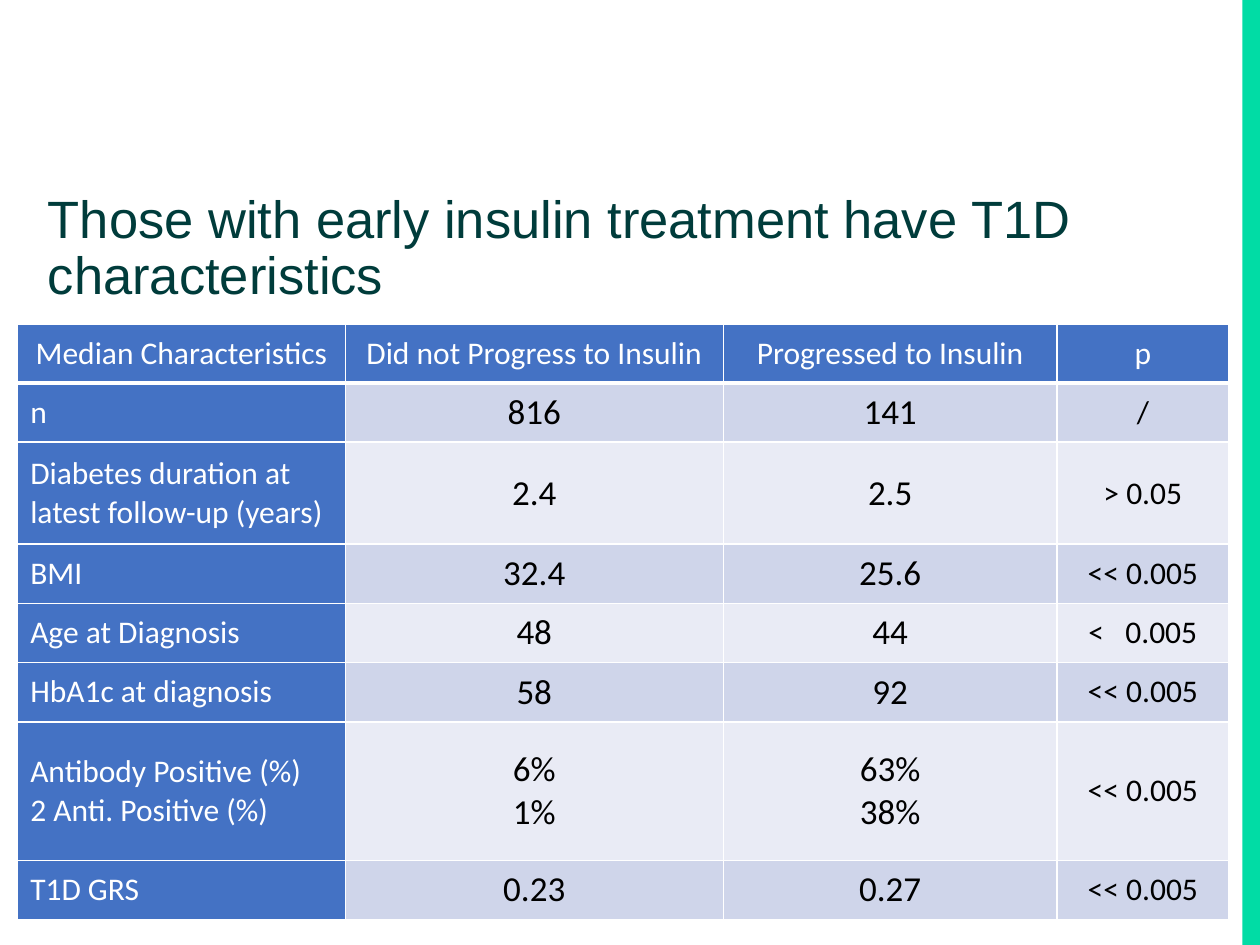
from dataclasses import dataclass

from lxml import etree
from pptx import Presentation
from pptx import util as u
from pptx.dml.color import RGBColor
from pptx.enum import shapes, text
from pptx.oxml import ns


@dataclass(frozen=True)
class Theme:
    bar: str = "01DCA5"
    title: str = "003C3B"
    head: str = "4472C4"
    bands: tuple = ("E9EBF5", "CFD5EA")
    light: str = "FFFFFF"
    dark: str = "000000"
    big: int = 30
    mid: int = 20
    small: int = 18
    serif: str = "Arial"
    body: str = "Calibri"


ROWS = [
    ("Median Characteristics", "Did not Progress to Insulin", "Progressed to Insulin", "p"),
    ("n", "816", "141", "/"),
    ("Diabetes duration at latest follow-up (years)", "2.4", "2.5", "> 0.05"),
    ("BMI", "32.4", "25.6", "<< 0.005"),
    ("Age at Diagnosis", "48", "44", "<   0.005"),
    ("HbA1c at diagnosis", "58", "92", "<< 0.005"),
    ("Antibody Positive (%)\n2 Anti. Positive (%)", "6%\n1%", "63%\n38%", "<< 0.005"),
    ("T1D GRS", "0.23", "0.27", "<< 0.005"),
]
WIDTHS = (2.6, 3, 2.65, 1.36)
ROW = 0.47
TALL = {2: 0.81, 6: 1.1}


def place(shape, box):
    for name, val in zip(("left", "top", "width", "height"), box):
        setattr(shape, name, u.Inches(val))


def style(para, color, align=text.PP_ALIGN.LEFT, **form):
    para.alignment = align
    for name, val in form.items():
        setattr(para.font, name, val)
    para.font.color.rgb = RGBColor.from_string(color)


def edge(cell, side, color, width):
    line = etree.SubElement(cell._tc.get_or_add_tcPr(), ns.qn(f"a:ln{side}"),
                            w=str(u.Pt(width)))
    fill = etree.SubElement(line, ns.qn("a:solidFill"))
    etree.SubElement(fill, ns.qn("a:srgbClr"), val=color)


class Deck:
    def __init__(self, theme):
        self.theme = theme
        self.prs = Presentation()
        self.prs.slide_width = u.Inches(10)
        self.prs.slide_height = u.Inches(7.5)
        self.slide = self.prs.slides.add_slide(self.prs.slide_layouts[5])

    def bar(self, box):
        shape = self.slide.shapes.add_shape(
            shapes.MSO_SHAPE.RECTANGLE, *map(u.Inches, box))
        shape.shadow.inherit = False
        shape.fill.solid()
        shape.fill.fore_color.rgb = RGBColor.from_string(self.theme.bar)
        shape.line.fill.background()

    def title(self, words, box):
        shape = self.slide.shapes.title
        place(shape, box)
        frame = shape.text_frame
        frame.text = words
        form = dict(word_wrap=True, auto_size=text.MSO_AUTO_SIZE.NONE,
                    vertical_anchor=text.MSO_ANCHOR.TOP)
        for name, val in form.items():
            setattr(frame, name, val)
        para = frame.paragraphs[0]
        para.line_spacing = 0.9
        style(para, self.theme.title, name=self.theme.serif,
              size=u.Pt(self.theme.big))

    def table(self, rows, left, top):
        highs = [TALL.get(i, ROW) for i in range(len(rows))]
        box = (left, top, sum(WIDTHS), sum(highs))
        grid = self.slide.shapes.add_table(
            len(rows), len(WIDTHS), *map(u.Inches, box)).table
        for col, wide in zip(grid.columns, WIDTHS):
            col.width = u.Inches(wide)
        for row, high in zip(grid.rows, highs):
            row.height = u.Inches(high)
        for i, row in enumerate(rows):
            for j, words in enumerate(row):
                self.cell(grid.cell(i, j), words, i, j)

    def cell(self, cell, words, i, j):
        """Format one cell by its row i and column j."""
        t = self.theme
        head = i == 0 or j == 0
        for side in "LRTB":
            thick = (i, side) in ((0, "B"), (1, "T"))
            edge(cell, side, t.light, 3 if thick else 1)
        cell.fill.solid()
        cell.fill.fore_color.rgb = RGBColor.from_string(
            t.head if head else t.bands[i % 2])
        cell.vertical_anchor = text.MSO_ANCHOR.MIDDLE
        cell.text = words
        last = j == len(WIDTHS) - 1
        left = j == 0 and i > 0
        for para in cell.text_frame.paragraphs:
            style(para, t.light if head else t.dark,
                  text.PP_ALIGN.LEFT if left else text.PP_ALIGN.CENTER,
                  name=t.body, bold=False,
                  size=u.Pt(t.small if head or last else t.mid))


def main():
    deck = Deck(Theme())
    deck.bar((9.86, 0, 0.14, 7.5))
    deck.title("Those with early insulin treatment have T1D characteristics",
               (0.28, 1.48, 9.44, 0.67))
    deck.table(ROWS, 0.14, 2.57)
    deck.prs.save("out.pptx")


if __name__ == "__main__":
    main()
